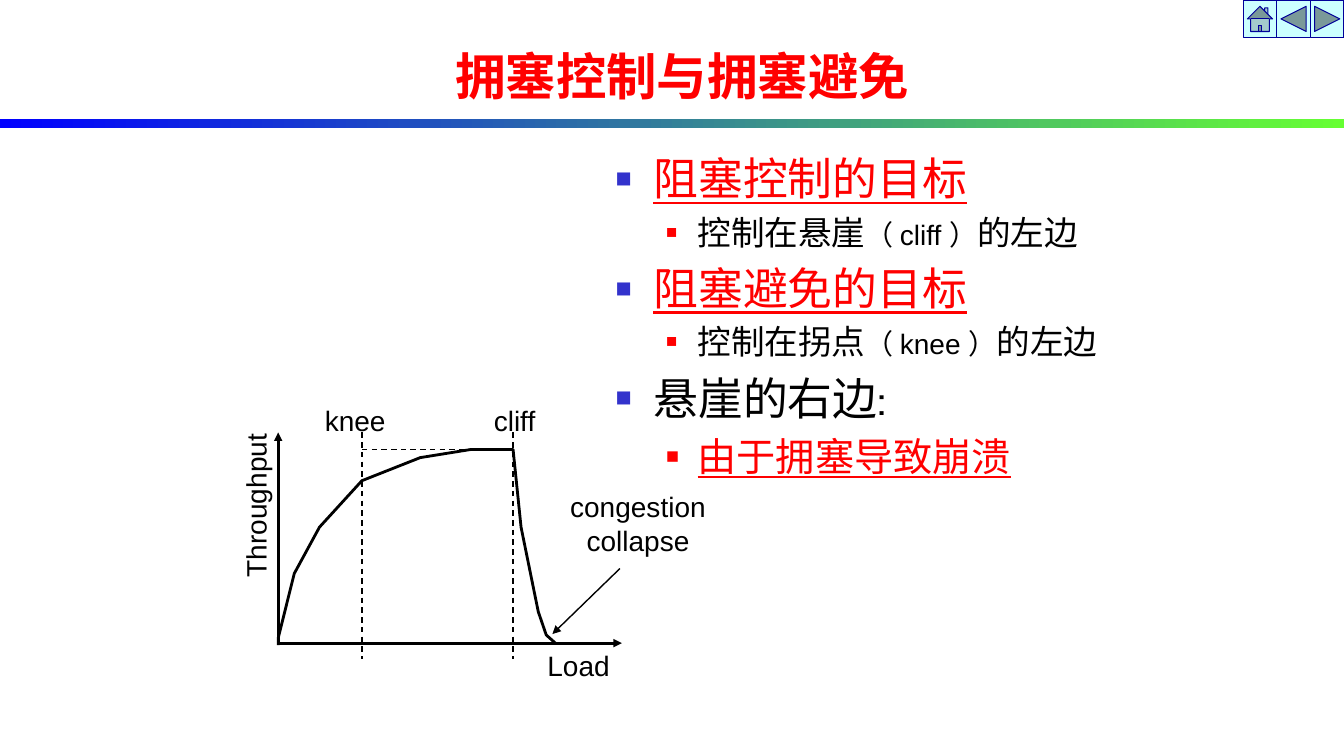
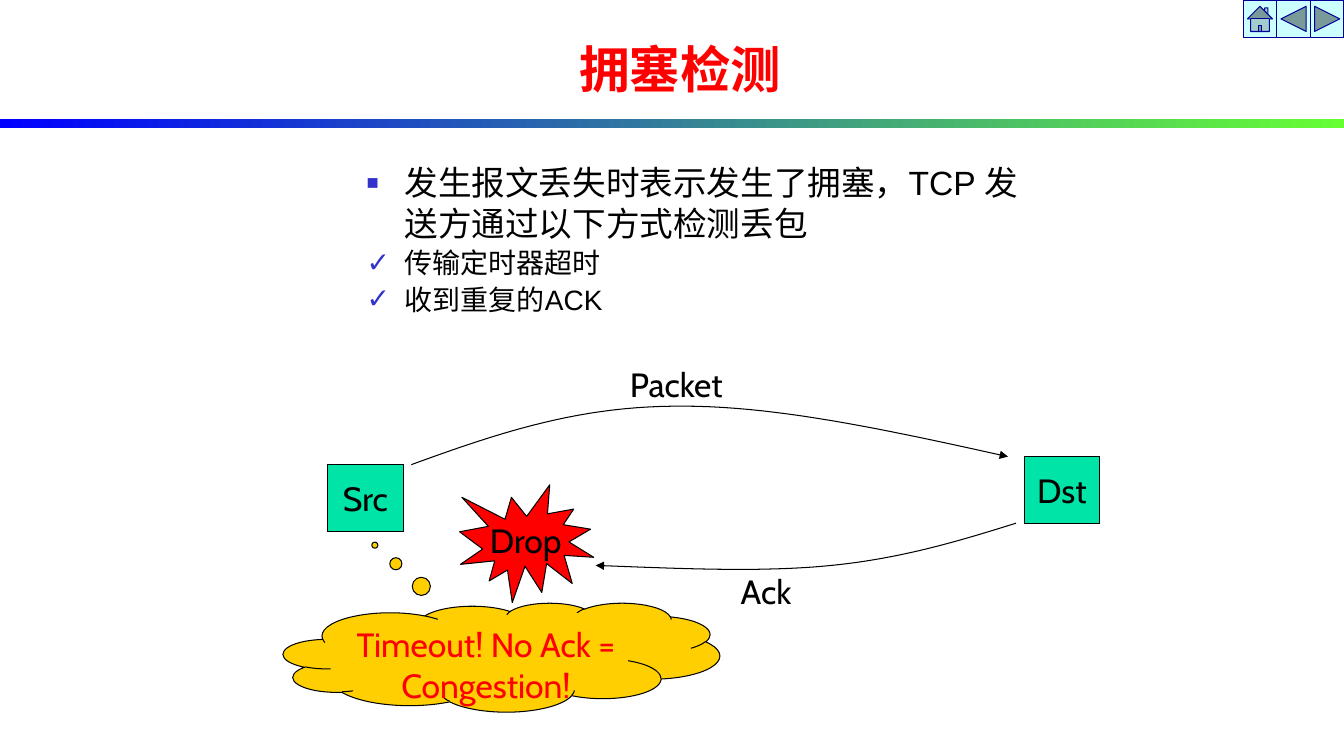
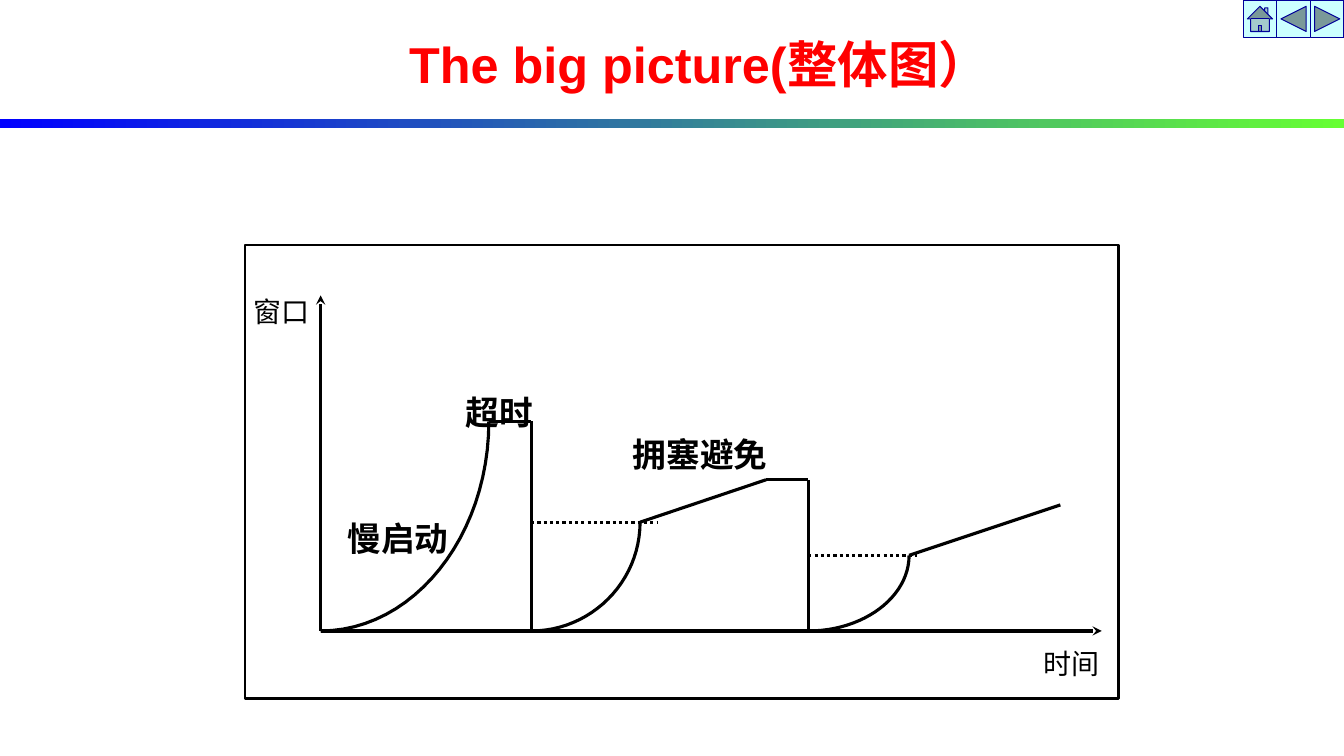
from dataclasses import dataclass

from lxml import etree
from pptx import Presentation
from pptx import util as u
from pptx.dml.color import RGBColor
from pptx.enum import dml, shapes, text
from pptx.oxml import ns

Pt = u.Pt
SHAPE = shapes.MSO_SHAPE
ALIGN = text.PP_ALIGN
ANCHOR = text.MSO_ANCHOR
DASH = dml.MSO_LINE


# Colours, fonts and type sizes
@dataclass(frozen=True)
class Theme:
    black: str = "000000"
    red: str = "FF0000"
    bullet_blue: str = "3333CC"
    button: str = "CCFFFF"
    button_line: str = "000099"
    band_start: str = "0000FF"
    band_end: str = "66FF33"
    host: str = "00E4A8"
    cloud: str = "FFCF01"
    sans: str = "Arial"
    display: str = "Cabin"
    title: int = 36
    heading: int = 32
    emphasis: int = 28
    body: int = 24
    label: int = 20


@dataclass(frozen=True)
class Bullet:
    """Indents, spacing and mark of a list paragraph."""
    mark: str
    color: str
    percent: int
    left: float
    hanging: float
    spacing: float
    level: int = 0


T = Theme()
MAIN = Bullet("■", T.bullet_blue, 60, 27, 27, 0.2)
SUB = Bullet("■", T.red, 55, 58.5, 22.5, 0.2, 1)
CHECK = Bullet("✓", T.bullet_blue, 100, 27, 27, 0.1)


# Text
def add_run(paragraph, words, size, color=T.black, font=T.sans, bold=False, underline=False):
    run = paragraph.add_run()
    run.text = words
    run.font.size = Pt(size)
    run.font.name = font
    run.font.bold = bold
    run.font.underline = underline
    run.font.color.rgb = RGBColor.from_string(color)


def add_child(parent, tag, **attributes):
    return etree.SubElement(parent, ns.qn(tag), attributes)


def set_bullet(paragraph, bullet):
    paragraph.level = bullet.level
    properties = paragraph._p.get_or_add_pPr()
    properties.set("marL", str(Pt(bullet.left)))
    properties.set("indent", str(-Pt(bullet.hanging)))
    add_child(add_child(properties, "a:buClr"), "a:srgbClr", val=bullet.color)
    add_child(properties, "a:buSzPct", val=str(bullet.percent * 1000))
    add_child(properties, "a:buFont", typeface=T.sans)
    add_child(properties, "a:buChar", char=bullet.mark)


def add_text_box(slide, box, wrap=True):
    shape = slide.shapes.add_textbox(*map(Pt, box))
    shape.text_frame.word_wrap = wrap
    return shape


def add_title(slide, box, words, align=ALIGN.CENTER, anchor=ANCHOR.TOP):
    frame = add_text_box(slide, box).text_frame
    frame.vertical_anchor = anchor
    paragraph = frame.paragraphs[0]
    paragraph.alignment = align
    add_run(paragraph, words, T.title, T.red, bold=True)


def add_list(slide, box, items):
    """Each item is a bullet followed by (words, run options) pairs."""
    frame = add_text_box(slide, box).text_frame
    for index, (bullet, *runs) in enumerate(items):
        paragraph = frame.add_paragraph() if index else frame.paragraphs[0]
        set_bullet(paragraph, bullet)
        if index:
            paragraph.space_before = Pt(round(bullet.spacing * runs[0][1]["size"], 1))
        for words, options in runs:
            add_run(paragraph, words, **options)


def add_label(slide, box, lines, align=ALIGN.CENTER, rotation=0, size=T.label, **options):
    shape = add_text_box(slide, box, wrap=False)
    shape.rotation = rotation
    frame = shape.text_frame
    frame.auto_size = text.MSO_AUTO_SIZE.SHAPE_TO_FIT_TEXT
    for index, words in enumerate(lines.split("\n")):
        paragraph = frame.add_paragraph() if index else frame.paragraphs[0]
        paragraph.alignment = align
        add_run(paragraph, words, size, **options)


# Shapes and lines
def add_figure(slide, kind, box, fill, line=T.black, width=0.75):
    shape = slide.shapes.add_shape(kind, *map(Pt, box))
    shape.shadow.inherit = False
    if fill:
        shape.fill.solid()
        shape.fill.fore_color.rgb = RGBColor.from_string(fill)
    else:
        shape.fill.background()
    shape.line.color.rgb = RGBColor.from_string(line)
    shape.line.width = Pt(width)
    return shape


def add_caption(shape, words, color=T.black, wrap=False, anchor=ANCHOR.MIDDLE):
    frame = shape.text_frame
    frame.word_wrap = wrap
    frame.vertical_anchor = anchor
    paragraph = frame.paragraphs[0]
    paragraph.alignment = ALIGN.CENTER
    add_run(paragraph, words, T.body, color, T.display)


def style_stroke(shape, width, dash=None, arrow=None):
    shape.line.color.rgb = RGBColor.from_string(T.black)
    shape.line.width = Pt(width)
    if dash:
        shape.line.dash_style = dash
    if arrow:
        add_child(shape.line._get_or_add_ln(), "a:tailEnd", type=arrow)


def add_line(slide, start, end, width, dash=None, arrow=None):
    connector = slide.shapes.add_connector(
        shapes.MSO_CONNECTOR.STRAIGHT, *map(Pt, (*start, *end)))
    style_stroke(connector, width, dash, arrow)
    add_child(connector._element.spPr, "a:effectLst")


def add_path(slide, points, width, arrow=None):
    first, *rest = [(Pt(x), Pt(y)) for x, y in points]
    builder = slide.shapes.build_freeform(*first)
    builder.add_line_segments(rest, close=False)
    shape = builder.convert_to_shape()
    shape.shadow.inherit = False
    shape.fill.background()
    style_stroke(shape, width, arrow=arrow)


def curve(points, steps=24):
    """Sample a chain of cubic curves: a start, then three points per curve."""
    samples = [points[0]]
    for first in range(0, len(points) - 1, 3):
        a, b, c, d = points[first:first + 4]
        for step in range(1, steps + 1):
            t = step / steps
            s = 1 - t
            samples.append(tuple(
                s ** 3 * p + 3 * s * s * t * q + 3 * s * t * t * r + t ** 3 * e
                for p, q, r, e in zip(a, b, c, d)))
    return samples


def quarter_arc(left, right, top, bottom):
    bend = 0.55
    return curve([(right, top), (right, top + bend * (bottom - top)),
                  (left + bend * (right - left), bottom), (left, bottom)])


# Parts common to all slides
def add_slide(presentation):
    slide = presentation.slides.add_slide(presentation.slide_layouts[6])
    buttons = (SHAPE.ACTION_BUTTON_HOME, SHAPE.ACTION_BUTTON_BACK_OR_PREVIOUS,
               SHAPE.ACTION_BUTTON_FORWARD_OR_NEXT)
    for index, kind in enumerate(buttons):
        add_figure(slide, kind, (888 + 24 * index, 0, 24, 27), T.button, T.button_line)
    band = add_figure(slide, SHAPE.RECTANGLE, (0, 85, 960, 6.5), None)
    band.line.fill.background()
    band.fill.gradient()
    band.fill.gradient_angle = 0
    for stop, color in zip(band.fill.gradient_stops, (T.band_start, T.band_end)):
        stop.color.rgb = RGBColor.from_string(color)
    return slide


def build_goals(presentation):
    slide = add_slide(presentation)
    add_title(slide, (318.2, 28.8, 374.4, 90), "拥塞控制与拥塞避免", ALIGN.LEFT)

    # Goals
    goal = dict(size=T.heading, color=T.red, font=T.display, underline=True)
    detail = dict(size=T.body, font=T.display)
    term = dict(size=T.label)
    add_list(slide, (432.7, 104.4, 386.6, 287.3), [
        (MAIN, ("阻塞控制的目标", goal)),
        (SUB, ("控制在悬崖", detail), ("（ cliff ）", term), ("的左边", detail)),
        (MAIN, ("阻塞避免的目标", goal)),
        (SUB, ("控制在拐点", detail), ("（ knee ）", term), ("的左边", detail)),
        (MAIN, ("悬崖的右边:", dict(size=T.heading, font=T.display))),
        (SUB, ("由于拥塞导致崩溃", {**goal, "size": T.emphasis})),
    ])

    # Throughput against load
    left, base, top, peak = 198.7, 459.4, 308.9, 321.1
    knee, cliff = 258.5, 366.5
    add_line(slide, (left, base), (left, top), 2, arrow="triangle")
    add_line(slide, (left, base), (444.2, base), 2, arrow="triangle")
    add_path(slide, [(left, 460.8), (left, 455.8), (210.2, 409.7), (228.2, 376.6),
                     (knee, 343.4), (300.2, 326.9), (336.2, peak), (cliff, peak),
                     (372.2, 376.6), (384.5, 437), (390.2, 453.6), (396.7, base)], 2)
    for x in (cliff, knee):
        add_line(slide, (x, top), (x, 470.9), 1, DASH.DASH)
    add_line(slide, (knee, peak), (cliff, peak), 1, DASH.DASH)

    # Labels
    add_label(slide, (383.8, 459.4, 59, 31), "Load")
    add_label(slide, (123.8, 345.6, 117.4, 31), "Throughput", rotation=270)
    add_label(slide, (224.6, 284.4, 58.3, 31), "knee")
    add_label(slide, (345.6, 284.4, 43.9, 31), "cliff")
    add_label(slide, (399.6, 346.3, 112.3, 55.4), "congestion\ncollapse")
    add_line(slide, (442.8, 406.1), (394.6, 452.9), 1, arrow="triangle")


def build_detection(presentation):
    slide = add_slide(presentation)
    add_title(slide, (180, 23.8, 612, 90), "拥塞检测")
    add_list(slide, (254.9, 112.3, 499.7, 123.1), [
        (MAIN, ("发生报文丢失时表示发生了拥塞，TCP 发送方通过以下方式检测丢包", dict(size=T.body))),
        (CHECK, ("传输定时器超时", dict(size=T.label))),
        (CHECK, ("收到重复的ACK", dict(size=T.label))),
    ])

    # Hosts
    for words, x, y in (("Src", 234, 332), ("Dst", 731.5, 326)):
        add_caption(add_figure(slide, SHAPE.RECTANGLE, (x, y, 54, 48), T.host), words)

    # Packet out and acknowledgement back
    packet = [(293.8, 331.9), (351.4, 311), (409, 290.9), (479.5, 290.2),
              (550.8, 288.7), (635, 307.4), (720, 326.2)]
    ack = [(725.8, 373.7), (684.7, 386.6), (643.7, 398.9), (594, 403.9),
           (543.6, 409), (484.6, 406.1), (425.5, 403.9)]
    for points in (packet, ack):
        add_path(slide, curve(points), 0.75, "triangle")
    for words, box in (("Packet", (442.8, 256.3, 84.2, 36)),
                       ("Ack", (522, 403.9, 51.8, 36))):
        add_label(slide, box, words, ALIGN.LEFT, size=T.body, font=T.display)

    # Loss and the sender's conclusion
    drop = add_figure(slide, SHAPE.EXPLOSION1, (328.3, 346.3, 95.8, 84.2), T.red)
    add_caption(drop, "Drop")
    thought = add_figure(slide, SHAPE.CLOUD_CALLOUT, (202.3, 430.6, 311.8, 77.8), T.cloud)
    thought.adjustments[0] = -0.29
    thought.adjustments[1] = -1.03
    add_caption(thought, "Timeout! No Ack = Congestion!", T.red, True, ANCHOR.TOP)


def build_big_picture(presentation):
    slide = add_slide(presentation)
    add_figure(slide, SHAPE.RECTANGLE, (175, 175, 624, 324), None, width=2)
    add_title(slide, (267.1, 0, 464.4, 90), "The big picture(整体图）", anchor=ANCHOR.MIDDLE)

    # Axes
    width, left, base = 2.25, 229, 450.7
    add_line(slide, (left, base), (left, 211), width, arrow="stealth")
    add_line(slide, (left, base), (787, base), width, arrow="stealth")
    add_label(slide, (738, 458.6, 54.7, 31.7), "时间", ALIGN.LEFT)
    add_label(slide, (174.2, 206.6, 54.7, 31.7), "窗口", ALIGN.LEFT)

    # Slow start: start, end and height reached in each cycle
    first, second = 379.4, 577.4
    for start, end, top in ((left, 349.2, 301), (first, 457.2, 373),
                            (second, 649.4, 396.7)):
        add_path(slide, quarter_arc(start, end, top, base), width)

    # Linear growth and falls at each timeout
    for points in ([(349.2, 301), (first, 301), (first, base)],
                   [(457.2, 373), (547.2, 342.7), (second, 342.7), (second, base)],
                   [(649.4, 396.7), (757.4, 360.7)]):
        for start, end in zip(points, points[1:]):
            add_line(slide, start, end, width)

    # Thresholds
    for start, end, y in ((first, 469.4, 373), (second, 655.2, 396.7)):
        add_line(slide, (start, y), (end, y), width, DASH.ROUND_DOT)

    # Phases
    for words, box in (("超时", (325.4, 276.5, 63.4, 36.7)),
                       ("慢启动", (241.2, 366.5, 87.8, 36.7)),
                       ("拥塞避免", (445, 306.7, 112.3, 36.7))):
        add_label(slide, box, words, ALIGN.LEFT, size=T.body, bold=True)


def main():
    presentation = Presentation()
    presentation.slide_width = Pt(960)
    presentation.slide_height = Pt(540)
    build_goals(presentation)
    build_detection(presentation)
    build_big_picture(presentation)
    presentation.save("out.pptx")


if __name__ == "__main__":
    main()
